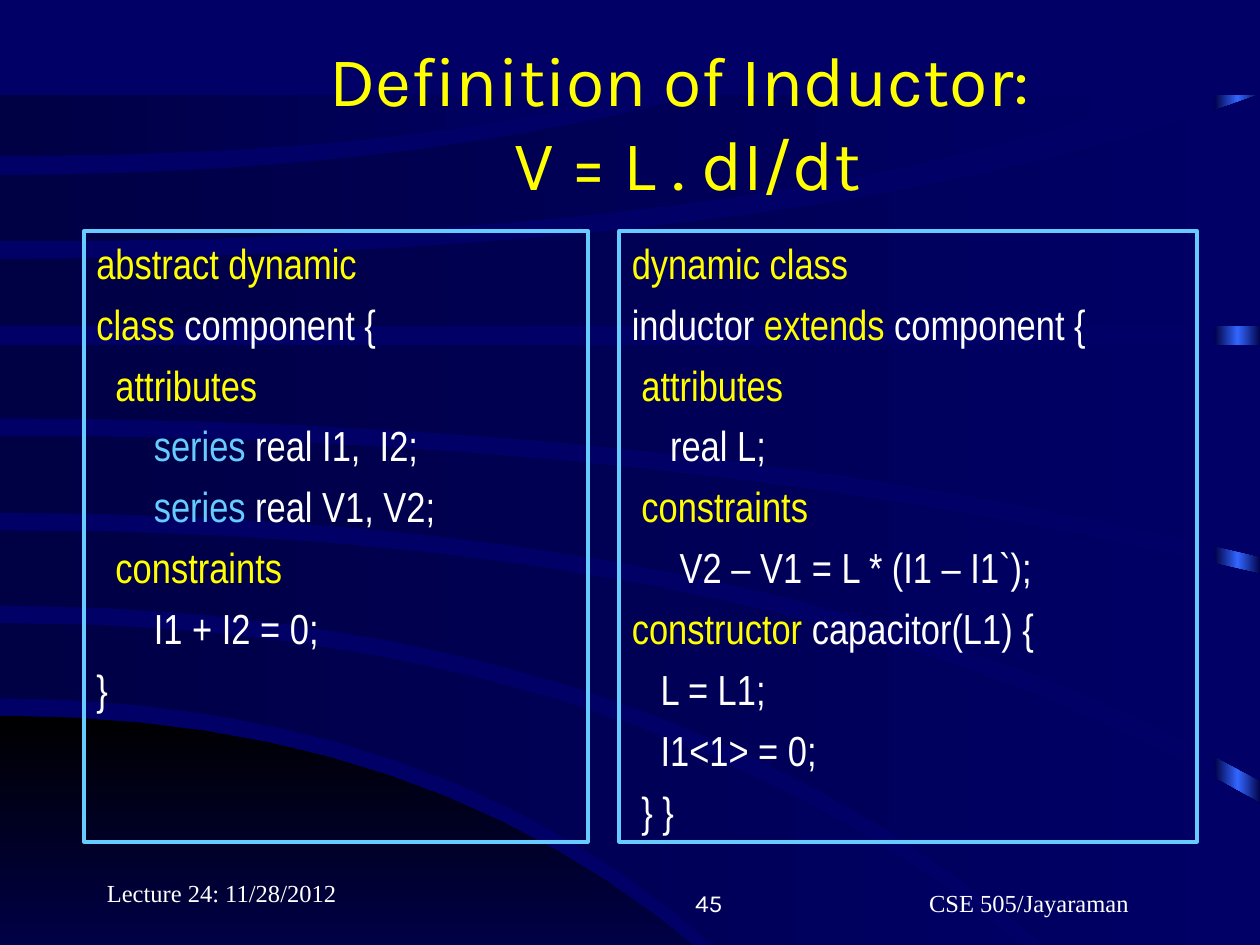
from lxml.etree import SubElement
from pptx import Presentation
from pptx.dml.color import RGBColor
from pptx.enum.shapes import MSO_SHAPE
from pptx.enum.text import MSO_ANCHOR, PP_ALIGN
from pptx.oxml.ns import qn
from pptx.util import Pt

COLORS = {
    "background": "000066",
    "night": "000044",
    "black": "000000",
    "glow": "3366FF",
    "keyword": "FFFF00",
    "series": "66CCFF",
    "plain": "FFFFFF",
}

WIDTH, HEIGHT = 720, 540
BACKDROP_TOP, BACKDROP_BOTTOM = 54, 595
CURVE_STEPS = 14

HILL = (409, 284, 453, BACKDROP_BOTTOM)
BANDS = [
    ((356, 408, 644, BACKDROP_BOTTOM), (399, 292, 463, BACKDROP_BOTTOM)),
    ((303, 454, WIDTH, 459), (346, 420, 655, BACKDROP_BOTTOM)),
    ((249, 390, WIDTH, 328), (293, 452, WIDTH, 446)),
    ((197, 360, WIDTH, 197), (239, 402, WIDTH, 318)),
    ((148, 470, WIDTH, BACKDROP_TOP), (186, 360, WIDTH, 186)),
    ((100, 230, 401, BACKDROP_TOP), (138, 440, 661, BACKDROP_TOP)),
    ((BACKDROP_TOP, 180, 361, BACKDROP_TOP), (89, 220, 361, BACKDROP_TOP)),
]

COMPONENT_CODE = [
    [("keyword", "abstract dynamic")],
    [("keyword", "class"), ("plain", " component {")],
    [("keyword", "  attributes")],
    [("series", "      series"), ("plain", " real I1,  I2;")],
    [("series", "      series"), ("plain", " real V1, V2;")],
    [("keyword", "  constraints")],
    [("plain", "      I1 + I2 = 0;")],
    [("plain", "}")],
]

INDUCTOR_CODE = [
    [("keyword", "dynamic class")],
    [("plain", "inductor "), ("keyword", "extends"), ("plain", " component {")],
    [("keyword", " attributes")],
    [("plain", "    real L;")],
    [("keyword", " constraints")],
    [("plain", "     V2 – V1 = L * (I1 – I1`);")],
    [("keyword", "constructor"), ("plain", " capacitor(L1) {")],
    [("plain", "   L = L1;")],
    [("plain", "   I1<1> = 0;")],
    [("plain", " } }")],
]


def rgb(name):
    """Return the named colour."""
    return RGBColor.from_string(COLORS[name])


def sweep(start_y, bend_x, end_x, end_y):
    """Return points on a curve that leaves the left edge level and bends to its end."""
    steps = [step / CURVE_STEPS for step in range(CURVE_STEPS + 1)]
    return [(2 * t * (1 - t) * bend_x + t * t * end_x,
             start_y + t * t * (end_y - start_y)) for t in steps]


def paint_gradient(shape, names, angle=0):
    """Fill a shape with evenly spaced gradient colours and no outline."""
    shape.shadow.inherit = False
    shape.line.fill.background()
    shape.fill.gradient()
    shape.fill.gradient_angle = angle
    stops = shape._element.spPr.find(qn("a:gradFill")).find(qn("a:gsLst"))
    for stop in list(stops):
        stops.remove(stop)
    for index, name in enumerate(names):
        position = 100000 * index // (len(names) - 1)
        stop = SubElement(stops, qn("a:gs"), pos=str(position))
        SubElement(stop, qn("a:srgbClr"), val=COLORS[name])


def add_outline(slide, points):
    """Add a closed polygon through the given points."""
    start, *rest = [(Pt(x), Pt(y)) for x, y in points]
    builder = slide.shapes.build_freeform(*start)
    builder.add_line_segments(rest, close=True)
    return builder.convert_to_shape()


def add_backdrop(slide):
    """Draw the glowing strip, the dark hill and the sweeping bands."""
    slide.background.fill.solid()
    slide.background.fill.fore_color.rgb = rgb("background")
    strip = slide.shapes.add_shape(
        MSO_SHAPE.RECTANGLE, Pt(694), Pt(BACKDROP_TOP), Pt(26.5),
        Pt(BACKDROP_BOTTOM - BACKDROP_TOP))
    paint_gradient(strip, ["night", "glow", "night"])
    hill = add_outline(slide, sweep(*HILL) + [(0, BACKDROP_BOTTOM)])
    paint_gradient(hill, ["black", "background"], 270)
    for upper, lower in BANDS:
        corner = [(WIDTH, BACKDROP_BOTTOM)] if upper[2] == WIDTH > lower[2] else []
        band = add_outline(slide, sweep(*upper) + corner + sweep(*lower)[::-1])
        paint_gradient(band, ["night", "background"])


def add_label(slide, box, text, size, face, color, align, anchor):
    """Place a one-paragraph text in the box."""
    frame = slide.shapes.add_textbox(*map(Pt, box)).text_frame
    frame.word_wrap = True
    frame.vertical_anchor = anchor
    line = frame.paragraphs[0]
    line.text = text
    line.alignment = align
    line.font.size = Pt(size)
    line.font.name = face
    line.font.color.rgb = rgb(color)


def add_code_panel(slide, box, code):
    """Draw a framed panel with one coloured code line per paragraph."""
    panel = slide.shapes.add_shape(MSO_SHAPE.RECTANGLE, *map(Pt, box))
    panel.shadow.inherit = False
    panel.fill.background()
    panel.line.color.rgb = rgb("series")
    panel.line.width = Pt(2.25)
    frame = panel.text_frame
    frame.word_wrap = True
    frame.vertical_anchor = MSO_ANCHOR.TOP
    for index, pieces in enumerate(code):
        line = frame.add_paragraph() if index else frame.paragraphs[0]
        line.alignment = PP_ALIGN.LEFT
        if index:
            line.space_before = Pt(6)
        line.font.size = Pt(24)
        line.font.name = "Arial Narrow"
        if len(pieces) == 1:
            line.font.color.rgb = rgb(pieces[0][0])
        for color, text in pieces:
            run = line.add_run()
            run.text = text
            if len(pieces) > 1:
                run.font.color.rgb = rgb(color)


def add_footer(slide, top):
    """Place the lecture date, slide number and course name."""
    for left, rise, width, text, face, align in [
        (54, 6, 150, "Lecture 24: 11/28/2012", "Times New Roman", PP_ALIGN.LEFT),
        (270, 0, 150, "45", "Karla", PP_ALIGN.RIGHT),
        (474, 0, 228, "CSE 505/Jayaraman", "Times New Roman", PP_ALIGN.CENTER),
    ]:
        add_label(slide, (left, top - rise, width, 36), text, 14, face, "plain",
                  align, MSO_ANCHOR.BOTTOM)


def main():
    """Build the inductor slide and save it."""
    deck = Presentation()
    deck.slide_width, deck.slide_height = Pt(WIDTH), Pt(HEIGHT)
    slide = deck.slides.add_slide(deck.slide_layouts[6])
    add_backdrop(slide)
    add_label(slide, (174, 36, 438, 66), "Definition of Inductor: \vV = L . dI/dt",
              40, "Karla", "keyword", PP_ALIGN.CENTER, MSO_ANCHOR.MIDDLE)
    add_code_panel(slide, (48, 132, 288, 349), COMPONENT_CODE)
    add_code_panel(slide, (354, 132, 330, 349), INDUCTOR_CODE)
    add_footer(slide, 492)
    deck.save("out.pptx")


if __name__ == "__main__":
    main()
